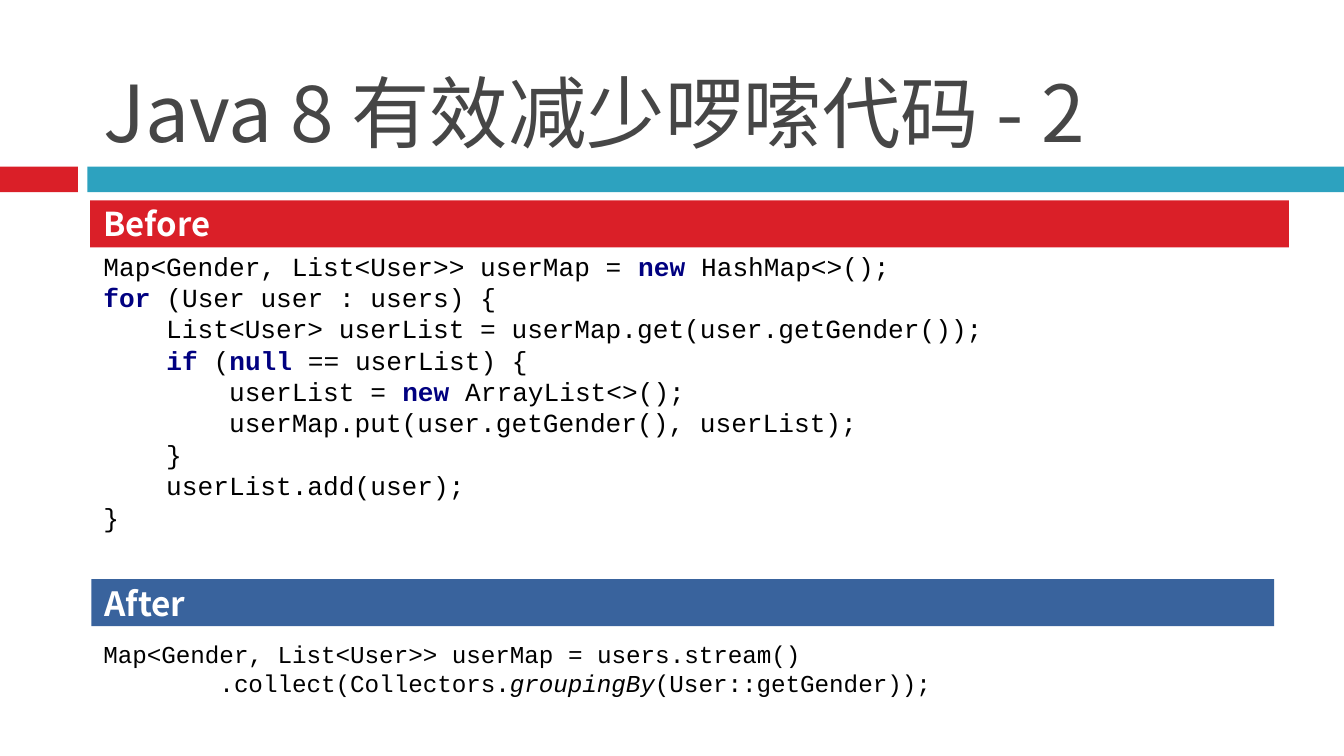
import pptx
import pptx.util
import pptx.dml.color
import pptx.enum.shapes
import pptx.enum.text
import pptx.oxml.ns
import lxml.etree

Inches = pptx.util.Inches
ANCHOR = pptx.enum.text.MSO_ANCHOR
AUTO_SIZE = pptx.enum.text.MSO_AUTO_SIZE

THEME = {
    "sans": "Noto Sans CJK SC", "mono": "Courier New",
    "title": "464646", "red": "DA1F28", "teal": "2DA2BF", "blue": "39639D",
    "white": "FFFFFF", "code": "000000", "keyword": "000080",
    "title_size": 42, "before_size": 17.6, "after_size": 17.9,
    "before_code_size": 14, "after_code_size": 13,
}


def prepare(shape, box, anchor, fill=None, hanging=0, space_before=0, grow=False):
    """Place a text shape and return its empty, left-aligned paragraph."""
    shape.left, shape.top, shape.width, shape.height = map(Inches, box)
    if fill:
        shape.fill.solid()
        shape.fill.fore_color.rgb = pptx.dml.color.RGBColor.from_string(THEME[fill])
    frame = shape.text_frame
    frame.word_wrap = True
    frame.auto_size = AUTO_SIZE.SHAPE_TO_FIT_TEXT if grow else AUTO_SIZE.NONE
    frame.vertical_anchor = anchor
    paragraph = frame.paragraphs[0]
    paragraph.alignment = pptx.enum.text.PP_ALIGN.LEFT
    paragraph.space_before = pptx.util.Pt(space_before)
    properties = paragraph._p.get_or_add_pPr()
    properties.set("marL", str(Inches(hanging)))
    properties.set("indent", str(-Inches(hanging)))
    lxml.etree.SubElement(properties, pptx.oxml.ns.qn("a:buNone"))
    return paragraph


def add_text(paragraph, text, font, size, color, bold=False, italic=False):
    """Add formatted runs, with a line break at each newline."""
    for number, line in enumerate(text.split("\n")):
        if number:
            paragraph.add_line_break()
        if not line:
            continue
        run = paragraph.add_run()
        run.text = line
        run.font.name = THEME[font]
        run.font.size = pptx.util.Pt(THEME[size])
        run.font.bold, run.font.italic = bold, italic
        run.font.color.rgb = pptx.dml.color.RGBColor.from_string(THEME[color])
        east_asian = lxml.etree.SubElement(run._r.get_or_add_rPr(), pptx.oxml.ns.qn("a:ea"))
        east_asian.set("typeface", THEME[font])


# Slide in 16:9
presentation = pptx.Presentation()
presentation.slide_width = Inches(10)
presentation.slide_height = Inches(10 * 9 / 16)
slide = presentation.slides.add_slide(presentation.slide_layouts.get_by_name("Comparison"))
holders = {holder.placeholder_format.idx: holder for holder in slide.placeholders}

# Rule under the title
for left, width, color in [(0, 0.58, "red"), (0.65, 9.35, "teal")]:
    band = slide.shapes.add_shape(pptx.enum.shapes.MSO_SHAPE.RECTANGLE,
                                  Inches(left), Inches(1.24), Inches(width), Inches(0.19))
    band.shadow.inherit = False
    band.fill.solid()
    band.fill.fore_color.rgb = pptx.dml.color.RGBColor.from_string(THEME[color])
    band.line.fill.background()

# Title
title = prepare(slide.shapes.title, (0.67, 0.13, 8.92, 1.1), ANCHOR.BOTTOM)
add_text(title, "Java 8 有效减少啰嗦代码 - 2", "sans", "title_size", "title")

# Section headings
for index, heading, box, fill, size in [
    (2, "Before", (0.67, 1.49, 8.92, 0.35), "red", "before_size"),
    (3, "After", (0.68, 4.31, 8.8, 0.35), "blue", "after_size"),
]:
    paragraph = prepare(holders[index], box, ANCHOR.MIDDLE, fill, hanging=0.35, space_before=7)
    add_text(paragraph, heading, "sans", size, "white", bold=True)

# Code before: keywords stand out in bold
before_code = prepare(holders[1], (0.67, 1.8, 8.51, 2.22), ANCHOR.MIDDLE, "white", grow=True)
for text, is_keyword in [
    ("Map<Gender, List<User>> userMap = ", False),
    ("new ", True),
    ("HashMap<>();\n", False),
    ("for ", True),
    ("(User user : users) {\n"
     "    List<User> userList = userMap.get(user.getGender());\n"
     "    ", False),
    ("if ", True),
    ("(", False),
    ("null ", True),
    ("== userList) {\n"
     "        userList = ", False),
    ("new ", True),
    ("ArrayList<>();\n"
     "        userMap.put(user.getGender(), userList);\n"
     "    }\n"
     "    userList.add(user);\n"
     "}", False),
]:
    add_text(before_code, text, "mono", "before_code_size",
             "keyword" if is_keyword else "code", bold=is_keyword)

# Code after: the static method is in italics
after_box = slide.shapes.add_textbox(0, 0, 0, 0)
after_code = prepare(after_box, (0.67, 4.7, 8.82, 0.54), ANCHOR.MIDDLE, "white", grow=True)
for text, is_static in [
    ("Map<Gender, List<User>> userMap = users.stream()\n"
     "        .collect(Collectors.", False),
    ("groupingBy", True),
    ("(User::getGender));", False),
]:
    add_text(after_code, text, "mono", "after_code_size", "code", italic=is_static)

# Remove the unused placeholder
unused = holders[4]._element
unused.getparent().remove(unused)

presentation.save("out.pptx")
